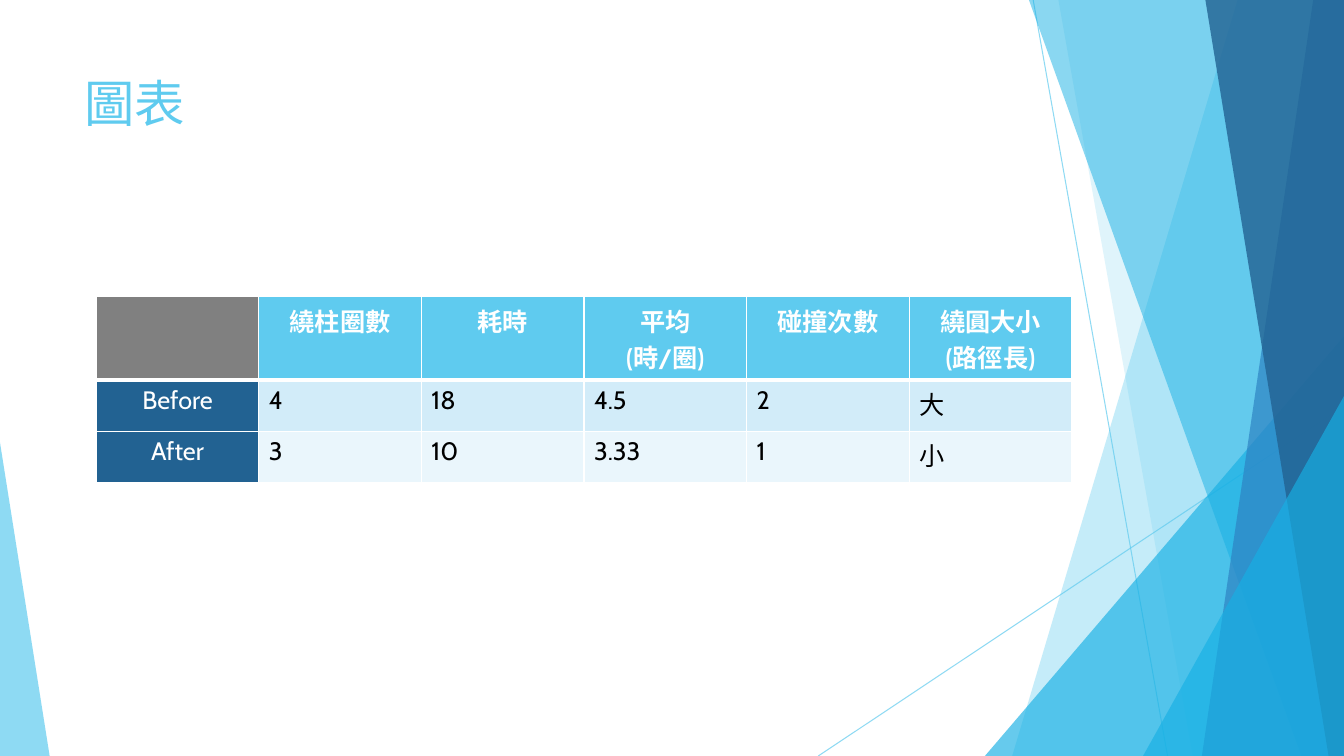
from dataclasses import dataclass

from lxml.etree import SubElement
from pptx import Presentation
from pptx.dml.color import RGBColor as Color
from pptx.enum.shapes import MSO_CONNECTOR as Connector, MSO_SHAPE as Shape
from pptx.enum.text import PP_ALIGN as Align
from pptx.oxml.ns import qn
from pptx.util import Pt

WIDTH, HEIGHT = 960, 540


@dataclass(frozen=True)
class Theme:
    font: str = "Cabin"
    title_size: int = 36
    table_size: int = 18
    sky: str = "5FCBEF"
    cyan: str = "17B0E4"
    blue: str = "2E83C3"
    navy: str = "226292"
    gray: str = "808080"
    white: str = "FFFFFF"
    black: str = "000000"
    bands: tuple = ("D2ECF9", "EAF6FC")


class SlideBuilder:
    def __init__(self, slide, theme):
        self.shapes = slide.shapes
        self.theme = theme

    def set_alpha(self, fill_owner, percent):
        color = next(fill_owner.iter(qn("a:srgbClr")))
        SubElement(color, qn("a:alpha"), val=str(percent * 1000))

    def paint(self, shape, color, opacity):
        shape.shadow.inherit = False
        shape.fill.solid()
        shape.fill.fore_color.rgb = Color.from_string(color)
        self.set_alpha(shape._element.spPr, opacity)
        shape.line.fill.background()

    def line(self, start, end):
        connector = self.shapes.add_connector(
            Connector.STRAIGHT, *(Pt(value) for value in (*start, *end)))
        connector.line.width = Pt(0.75)
        connector.line.color.rgb = Color.from_string(self.theme.sky)
        properties = connector._element.spPr
        self.set_alpha(properties, 70)
        SubElement(properties, qn("a:effectLst"))

    def ribbon(self, top_left, bottom_left, color, opacity):
        builder = self.shapes.build_freeform(Pt(top_left), 0)
        corners = ((WIDTH, 0), (WIDTH, HEIGHT), (bottom_left, HEIGHT))
        builder.add_line_segments([(Pt(x), Pt(y)) for x, y in corners])
        self.paint(builder.convert_to_shape(), color, opacity)

    def triangle(self, left, top, width, apex, color, opacity):
        shape = self.shapes.add_shape(
            Shape.ISOSCELES_TRIANGLE, Pt(left), Pt(top), Pt(width), Pt(HEIGHT - top))
        shape.adjustments[0] = apex
        self.paint(shape, color, opacity)

    def style_text(self, frame, size, color, bold=False, align=Align.LEFT):
        for paragraph in frame.paragraphs:
            paragraph.alignment = align
            paragraph.font.name = self.theme.font
            paragraph.font.size = Pt(size)
            paragraph.font.bold = bold
            paragraph.font.color.rgb = Color.from_string(color)

    def title(self, text, left, top, width, height):
        box = self.shapes.add_textbox(Pt(left), Pt(top), Pt(width), Pt(height))
        box.text_frame.word_wrap = True
        box.text_frame.text = text
        self.style_text(box.text_frame, self.theme.title_size, self.theme.sky)

    def border(self, cell, side, width):
        line = SubElement(cell._tc.get_or_add_tcPr(), qn(f"a:ln{side}"), w=str(Pt(width)))
        fill = SubElement(line, qn("a:solidFill"))
        SubElement(fill, qn("a:srgbClr"), val=self.theme.white)

    def cell(self, cell, text, row, column):
        theme = self.theme
        header, label = row == 0, column == 0
        cell.text = text
        for side in "LRTB":
            thick = (header and side == "B") or (row == 1 and side == "T")
            self.border(cell, side, 3 if thick else 1)
        if header:
            color = theme.gray if label else theme.sky
        else:
            color = theme.navy if label else theme.bands[row - 1]
        cell.fill.solid()
        cell.fill.fore_color.rgb = Color.from_string(color)
        centered = header or label
        self.style_text(cell.text_frame, theme.table_size,
                        theme.white if centered else theme.black, header,
                        Align.CENTER if centered else Align.LEFT)

    def table(self, rows, left, top, column_width, row_heights):
        columns = len(rows[0])
        table = self.shapes.add_table(
            len(rows), columns, Pt(left), Pt(top),
            Pt(column_width * columns), Pt(sum(row_heights))).table
        table.first_row = table.horz_banding = False
        for column in table.columns:
            column.width = Pt(column_width)
        for row, (texts, height) in enumerate(zip(rows, row_heights)):
            table.rows[row].height = Pt(height)
            for column, text in enumerate(texts):
                self.cell(table.cell(row, column), text, row, column)


def main():
    presentation = Presentation()
    presentation.slide_width, presentation.slide_height = Pt(WIDTH), Pt(HEIGHT)
    theme = Theme()
    builder = SlideBuilder(
        presentation.slides.add_slide(presentation.slide_layouts[6]), theme)

    builder.line((738, 0), (834, HEIGHT))
    builder.line((WIDTH, 290), (584.5, HEIGHT))
    builder.ribbon(884, 723, theme.sky, 36)
    builder.ribbon(756, 852, theme.sky, 20)
    builder.triangle(703.5, 240, 256.5, 1, theme.cyan, 66)
    builder.ribbon(735, 929.5, theme.cyan, 50)
    builder.ribbon(938, 858.5, theme.blue, 70)
    builder.ribbon(861, 949, theme.navy, 80)
    builder.triangle(816.5, 283, 143.5, 1, theme.cyan, 66)
    builder.triangle(0, 316, 35.5, 0, theme.sky, 70)

    builder.title("圖表", 53.3, 48, 677, 104)
    builder.table(
        [["", "繞柱圈數", "耗時", "平均\v(時/圈)", "碰撞次數", "繞圓大小\n(路徑長)"],
         ["Before", "4", "18", "4.5", "2", "大"],
         ["After", "3", "10", "3.33", "1", "小"]],
        68.75, 212, 116.16, (59.5, 36.5, 36.5))
    presentation.save("out.pptx")


if __name__ == "__main__":
    main()
